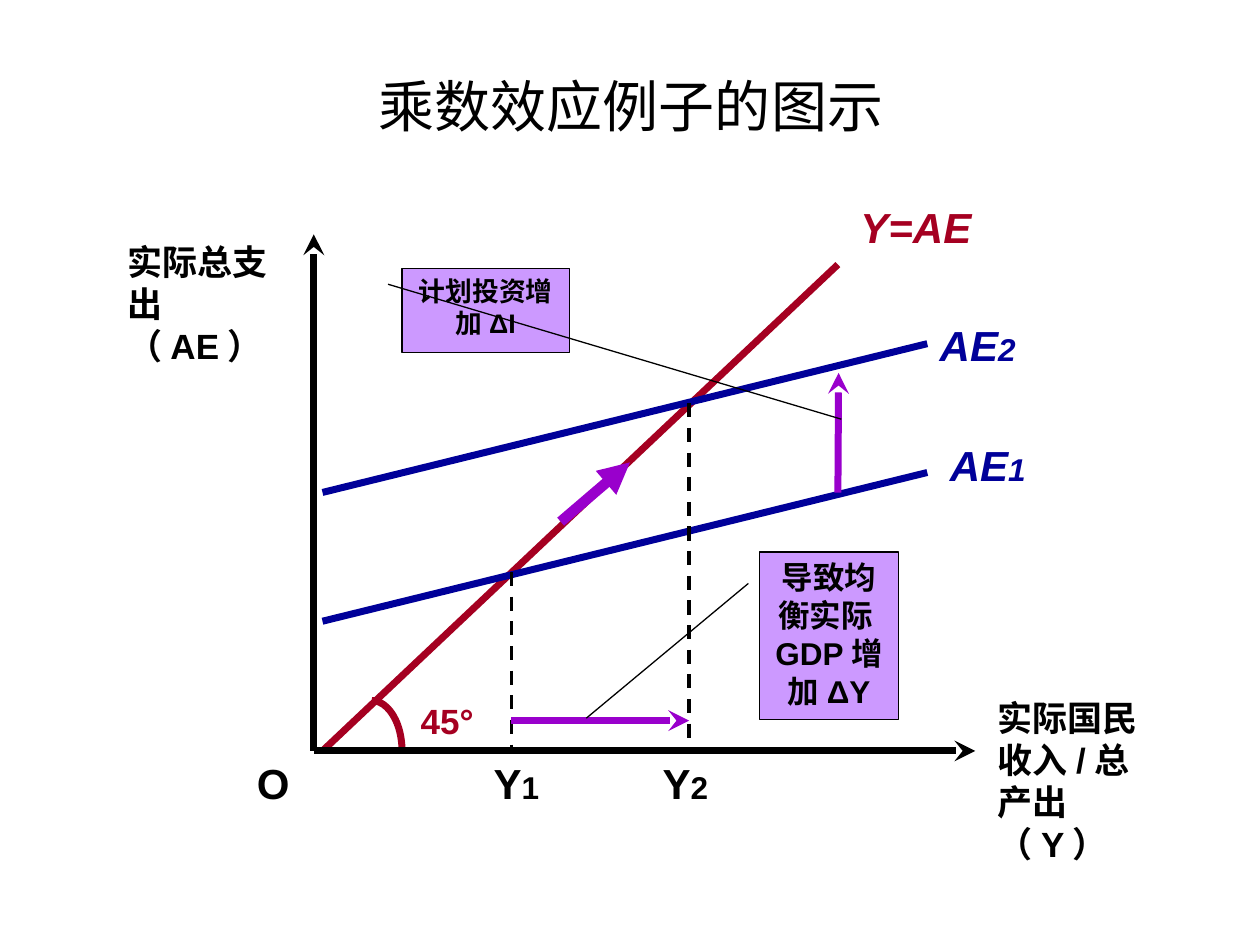
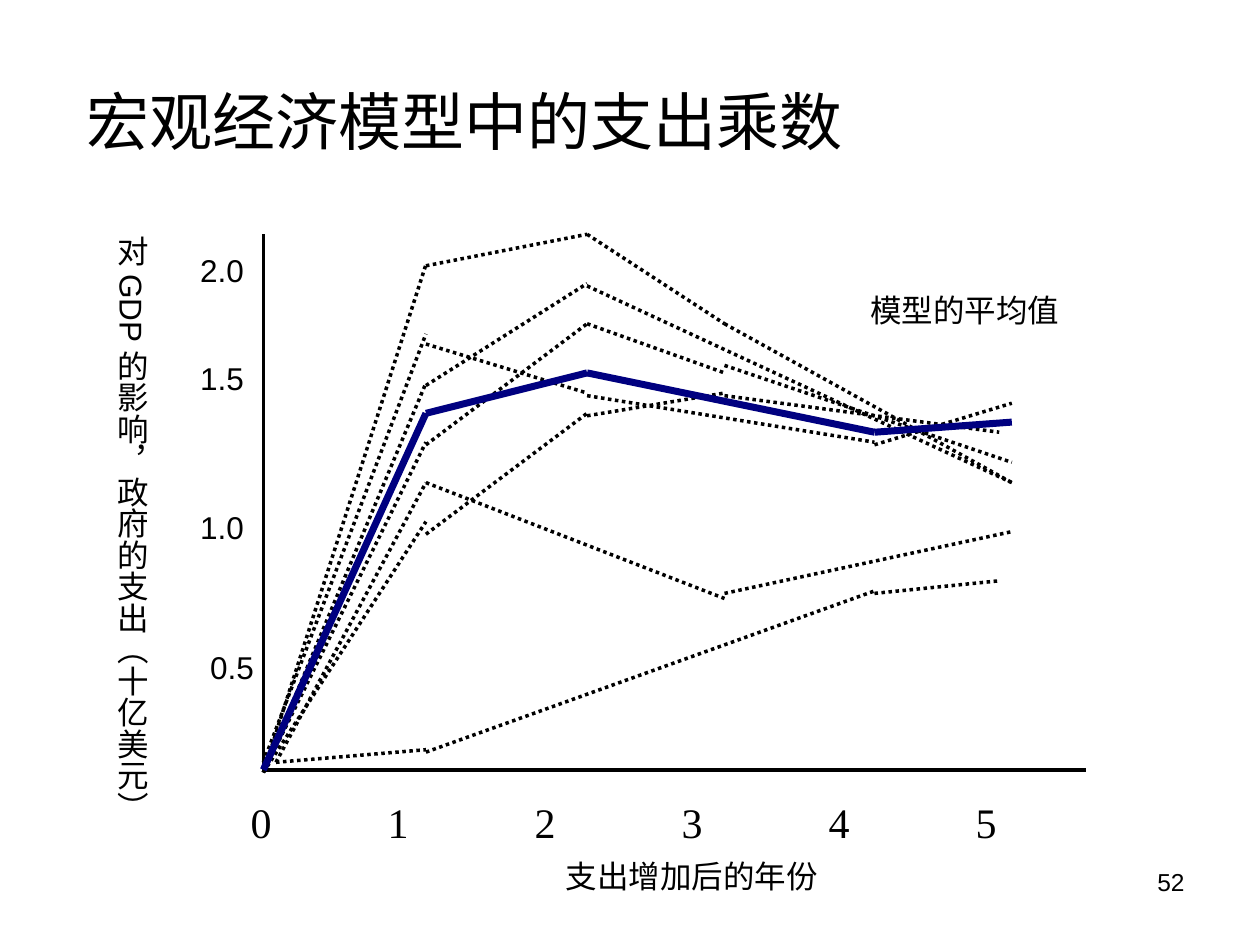
from dataclasses import dataclass
from typing import Optional

from lxml import etree
from pptx import Presentation
from pptx.dml.color import RGBColor
from pptx.enum import dml, shapes, text
from pptx.oxml.ns import qn
from pptx.util import Pt

LEFT, CENTER, RIGHT = text.PP_ALIGN.LEFT, text.PP_ALIGN.CENTER, text.PP_ALIGN.RIGHT
DASH, DOT = dml.MSO_LINE.DASH, dml.MSO_LINE.ROUND_DOT


@dataclass(frozen=True)
class Theme:
    black: str = "000000"
    red: str = "A50021"
    blue: str = "000099"
    navy: str = "000080"
    purple: str = "9900CC"
    lilac: str = "CC99FF"
    sans: str = "Arial"
    serif: str = "Times New Roman"
    title: float = 32
    wide_title: float = 36
    symbol: float = 24
    label: float = 20
    body: float = 18
    note: float = 15.3
    page: float = 14
    hairline: float = 0.75
    thin: float = 2
    thick: float = 4
    heavy: float = 6


T = Theme()


@dataclass(frozen=True)
class Label:
    words: str
    left: float
    top: float
    width: float
    height: float
    size: float = T.body
    color: str = T.black
    subscript: str = ""
    bold: bool = False
    italic: bool = False
    align: text.PP_ALIGN = LEFT
    font: str = T.sans
    wrap: bool = True
    middle: bool = False
    vertical: bool = False


@dataclass(frozen=True)
class Line:
    x1: float
    y1: float
    x2: float
    y2: float
    color: str = T.black
    width: float = T.thick
    dash: Optional[dml.MSO_LINE] = None
    head: str = ""


@dataclass(frozen=True)
class Callout:
    label: Label
    pointer: tuple[float, float, float, float]


def rgb(color: str) -> RGBColor:
    return RGBColor.from_string(color)


def write(sp, label: Label) -> None:
    tf = sp.text_frame
    tf.word_wrap = label.wrap
    tf.vertical_anchor = text.MSO_ANCHOR.MIDDLE if label.middle else text.MSO_ANCHOR.TOP
    p = tf.paragraphs[0]
    p.alignment = label.align
    p.font.name = label.font
    p.font.size = Pt(label.size)
    p.font.bold = label.bold
    p.font.italic = label.italic
    p.font.color.rgb = rgb(label.color)
    p.add_run().text = label.words
    if label.subscript:
        r = p.add_run()
        r.text = label.subscript
        r.font.size = Pt(T.body)


def box(label: Label) -> tuple[Pt, Pt, Pt, Pt]:
    return Pt(label.left), Pt(label.top), Pt(label.width), Pt(label.height)


def draw_label(slide, label: Label) -> None:
    sp = slide.shapes.add_textbox(*box(label))
    write(sp, label)
    if label.vertical:
        tf = sp.text_frame
        tf.margin_left = tf.margin_right = Pt(3.6)
        tf.margin_top = tf.margin_bottom = Pt(7.2)
        sp.element.txBody.find(qn("a:bodyPr")).set("vert", "eaVert")


def draw_line(slide, line: Line) -> None:
    sp = slide.shapes.add_connector(
        shapes.MSO_CONNECTOR.STRAIGHT, Pt(line.x1), Pt(line.y1), Pt(line.x2), Pt(line.y2)
    )
    sp.line.color.rgb = rgb(line.color)
    sp.line.width = Pt(line.width)
    if line.dash is not None:
        sp.line.dash_style = line.dash
    props = sp.element.spPr
    if line.head:
        etree.SubElement(props.find(qn("a:ln")), qn("a:tailEnd"), type=line.head)
    etree.SubElement(props, qn("a:effectLst"))


def draw_callout(slide, callout: Callout) -> None:
    sp = slide.shapes.add_shape(shapes.MSO_SHAPE.LINE_CALLOUT_1, *box(callout.label))
    sp.shadow.inherit = False
    sp.fill.solid()
    sp.fill.fore_color.rgb = rgb(T.lilac)
    sp.line.color.rgb = rgb(T.black)
    sp.line.width = Pt(T.hairline)
    for i, value in enumerate(callout.pointer):
        sp.adjustments[i] = value
    write(sp, callout.label)


def draw_angle(slide, left: float, top: float, width: float, height: float) -> None:
    sp = slide.shapes.add_shape(
        shapes.MSO_SHAPE.ARC, Pt(left), Pt(top), Pt(width), Pt(height)
    )
    sp.shadow.inherit = False
    sp.fill.background()
    sp.line.color.rgb = rgb(T.red)
    sp.line.width = Pt(T.thick)


def draw_all(slide, items: list) -> None:
    painters = {Label: draw_label, Line: draw_line, Callout: draw_callout}
    for item in items:
        painters[type(item)](slide, item)


def new_slide(prs, title: Label):
    slide = prs.slides.add_slide(prs.slide_layouts[6])
    draw_label(slide, title)
    return slide


def build_multiplier_diagram(prs) -> None:
    slide = new_slide(
        prs, Label("乘数效应例子的图示", 36.7, 26, 648, 67.7, T.title, align=CENTER, middle=True)
    )
    origin_x, axis_y = 179.3, 429.1
    y1_x, y2_x = 292.3, 393.8
    shift = 73.6

    draw_line(slide, Line(184.3, axis_y, 478.8, 151.2, T.red))
    draw_angle(slide, 195.1, 400.3, 34.6, 57.4)
    items = [
        Label("45°", 233.3, 396, 64, 31.7, T.label, T.red, bold=True),
        Label("Y=AE", 484.6, 111.6, 81.4, 36, T.symbol, T.red, bold=True, italic=True),
        Line(origin_x, axis_y, origin_x, 133.9, head="stealth"),
        Line(origin_x, axis_y, 557.3, axis_y, head="stealth"),
        Label("O", 139.7, axis_y, 33.8, 36, T.symbol, bold=True),
        Label("实际总支出（AE）", 65.5, 133.9, 97.2, 79.2, T.label, bold=True),
        Label("实际国民收入/总产出（Y）", 563, 394.6, 97.2, 103.7, T.label, bold=True),
    ]
    for number, raised, label_x, label_y in (
        ("1", 0, 535.7, 247.7),
        ("2", shift, 529.9, 179.3),
    ):
        items += [
            Line(184.3, 355 - raised, 529.9, 270 - raised, T.blue),
            Label("AE", label_x, label_y, 61.9, 36, T.symbol, T.blue, number, True, True),
        ]
    for number, x, top, label_x in (("1", y1_x, 326.9, 275), ("2", y2_x, 230.4, 371.5)):
        items += [
            Line(x, top, x, axis_y, width=T.thin, dash=DASH),
            Label("Y", label_x, axis_y, 51.1, 36, T.symbol, subscript=number, bold=True),
        ]
    items += [
        Line(y1_x, 411.8, y2_x, 411.8, T.purple, head="stealth"),
        Callout(
            Label("导致均衡实际GDP增加ΔY", 434.2, 315.4, 79.2, 95.8, bold=True, align=CENTER),
            (0.188, -0.083, 0.992, -1.252),
        ),
        Line(478.8, 281.5, 479.2, 213.1, T.purple, head="stealth"),
        Callout(
            Label("计划投资增加ΔI", 229.7, 153.4, 95.8, 48.2, T.note, bold=True, align=CENTER),
            (0.188, -0.083, 1.788, 2.621),
        ),
        Line(320.4, 298.1, 360, 264.2, T.purple, T.heavy, head="triangle"),
    ]
    draw_all(slide, items)


def build_model_comparison(prs) -> None:
    slide = new_slide(
        prs, Label("宏观经济模型中的支出乘数", 42.5, 37.4, 648, 62.6, T.wide_title, middle=True)
    )
    start, inset, first, second, third, fourth, near_end, end = (
        150.5, 157.7, 243.4, 335.5, 414, 499.7, 571, 578.2,
    )
    model_paths = (
        (start, 441.4, first, 151.2),
        (start, 435.6, first, 190.8),
        (start, 441.4, first, 252.7),
        (start, 441.4, first, 218.9),
        (inset, 435.6, first, 275.8),
        (start, 441.4, first, 298.1),
        (first, 151.9, second, 133.9),
        (first, 196.6, second, 224.6),
        (first, 220.3, second, 162),
        (first, 254.2, second, 185),
        (first, 275.8, third, 342),
        (inset, 435.6, first, 428.4),
        (first, 305.3, second, 236.2),
        (second, 133.9, third, 185),
        (third, 185, end, 275.8),
        (second, 163.4, end, 275.8),
        (second, 185, third, 213.1),
        (third, 208.8, end, 264.2),
        (second, 226.1, fourth, 252.7),
        (fourth, 254.2, end, 230.4),
        (second, 237.6, third, 224.6),
        (third, 226.1, near_end, 247),
        (first, 429.8, fourth, 337.7),
        (fourth, 339.1, near_end, 331.9),
        (third, 339.1, end, 303.8),
    )
    average = ((start, 439.9), (first, 236.2), (second, 213.1), (fourth, 247), (end, 241.2))
    year_centers = [149.2] + [227.5 + 84 * i for i in range(5)]
    scale = (
        ("2.0", 107.3, 139.7),
        ("1.5", 107.3, 201.6),
        ("1.0", 107.3, 286.6),
        ("0.5", 113, 366.5),
    )

    items = [
        Label("52", 516.2, 491.8, 167.8, 37.4, T.page, align=RIGHT),
        Label("对GDP的影响，政府的支出（十亿美元）", 54, 127.4, 36, 342.7,
              align=CENTER, wrap=False, vertical=True),
        Label("支出增加后的年份", 316.1, 486, 158.4, 28.8, align=CENTER, wrap=False),
        Line(start, 441.4, start, 133.9, width=T.thin),
        Line(start, 439.9, 620.6, 439.9, width=T.thin),
    ]
    items += [
        Label(str(year), x - 18, 451.4, 36, 36, T.symbol, align=CENTER, font=T.serif)
        for year, x in enumerate(year_centers)
    ]
    items += [Line(*path, width=T.thin, dash=DOT) for path in model_paths]
    items += [Line(*a, *b, T.navy) for a, b in zip(average, average[1:])]
    items.append(Label("模型的平均值", 490.3, 162.7, 208.8, 28.8))
    items += [Label(value, x, y, 39.6, 28.8) for value, x, y in scale]
    draw_all(slide, items)


def main() -> None:
    prs = Presentation()
    prs.slide_width, prs.slide_height = Pt(720), Pt(540)
    build_multiplier_diagram(prs)
    build_model_comparison(prs)
    prs.save("out.pptx")


if __name__ == "__main__":
    main()
